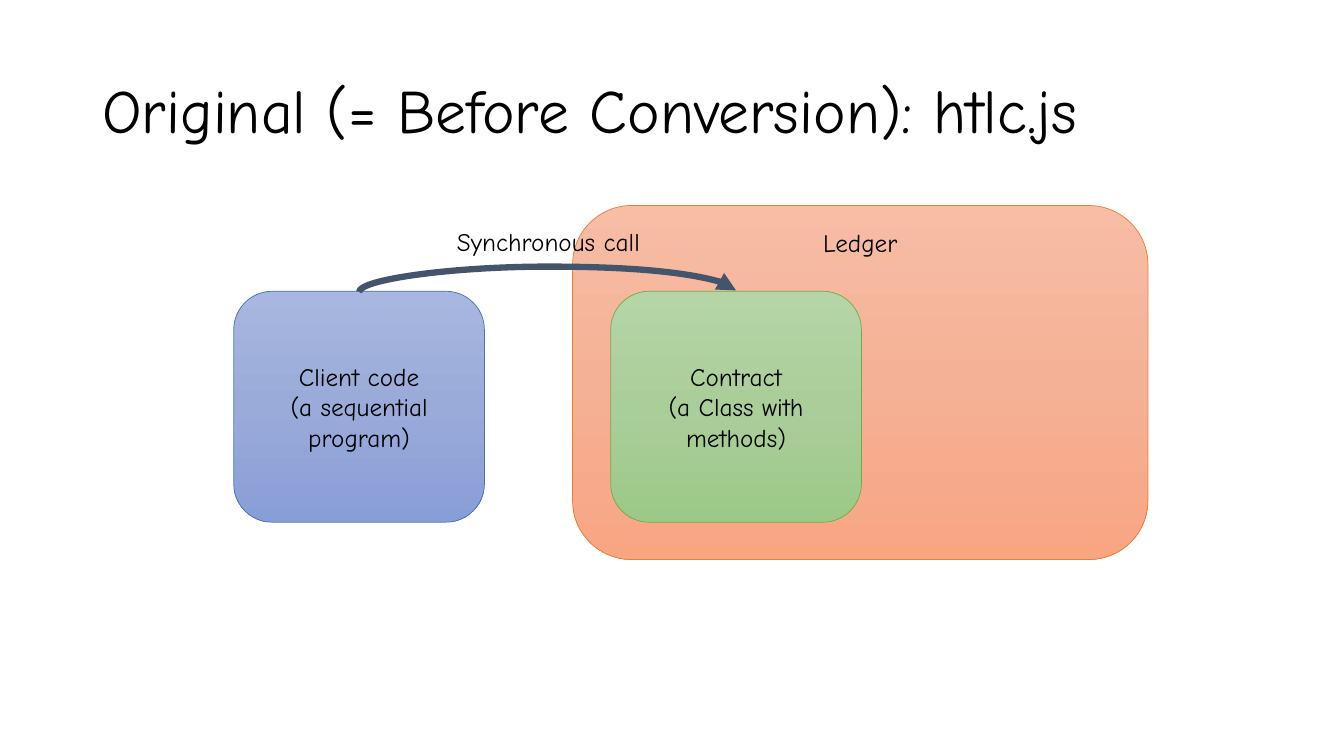
from copy import deepcopy
from dataclasses import dataclass

from lxml import etree
from pptx import Presentation
from pptx import util as u
from pptx.dml.color import RGBColor
from pptx.enum import shapes, text
from pptx.oxml import ns


@dataclass(frozen=True)
class Theme:
    """Colours, font and type sizes of the slide."""
    font: str = "Comic Neue"
    head: int = 44
    body: int = 18
    ink: str = "000000"
    arrow: str = "44546A"
    ledger: tuple = ("ED7D31", "F7BDA5", "F5B196", "F8A582")
    client: tuple = ("4472C4", "A8B7DF", "9AABD9", "889ED7")
    deal: tuple = ("70AD47", "B5D5A7", "AACE9A", "9CC987")


T = Theme()
MID = text.MSO_ANCHOR.MIDDLE
TOP = text.MSO_ANCHOR.TOP


def apply(item, opts):
    """Set each attribute in a dict of format values."""
    for key, val in opts.items():
        setattr(item, key, val)


def write(shape, words, size, frame, para):
    """Fill a shape with one formatted paragraph."""
    apply(shape.text_frame, frame)
    line = shape.text_frame.paragraphs[0]
    line.text = words
    apply(line, para)
    for run in line.runs:
        apply(run.font, {"name": T.font, "size": u.Pt(size)})
        run.font.color.rgb = RGBColor.from_string(T.ink)


def tile(parent, box, tones, words, anchor):
    """Add a rounded tile with a three-stop gradient."""
    edge, *fade = tones
    shape = parent.add_shape(shapes.MSO_SHAPE.ROUNDED_RECTANGLE, *map(u.Cm, box))
    shape.shadow.inherit = False
    shape.fill.gradient()
    shape.fill.gradient_angle = 270
    stops = shape.element.xpath(".//a:gsLst")[0]
    stops.insert(1, deepcopy(stops[0]))
    for i, stop in enumerate(shape.fill.gradient_stops):
        stop.position = i / 2
        stop.color.rgb = RGBColor.from_string(fade[i])
    shape.line.color.rgb = RGBColor.from_string(edge)
    shape.line.width = u.Pt(0.5)
    write(shape, words, T.body, {"word_wrap": True, "vertical_anchor": anchor},
          {"alignment": text.PP_ALIGN.CENTER})
    return shape


def arc(parent, start, end, rise):
    """Join the tops of two tiles with a curved arrow."""
    link = parent.add_connector(shapes.MSO_CONNECTOR.CURVE, 0, 0, 0, 0)
    link.begin_connect(start, 0)
    link.end_connect(end, 0)
    span, thin = end.left - start.left, u.Cm(0.04)
    mid = (start.left + end.left + start.width) // 2
    apply(link, {"left": mid - thin // 2, "top": start.top - span // 2,
                 "width": thin, "height": span})
    frame = link.element.spPr.find(ns.qn("a:xfrm"))
    for key, val in {"rot": "5400000", "flipH": "1", "flipV": "1"}.items():
        frame.set(key, val)
    geom = link.element.spPr.find(ns.qn("a:prstGeom"))
    guides = geom.find(ns.qn("a:avLst"))
    if guides is None:
        guides = etree.SubElement(geom, ns.qn("a:avLst"))
    etree.SubElement(guides, ns.qn("a:gd"), name="adj1",
                     fmla=f"val {round(u.Cm(rise) / thin * 100000)}")
    link.line.color.rgb = RGBColor.from_string(T.arrow)
    link.line.width = u.Pt(4.5)
    etree.SubElement(link.line._get_or_add_ln(), ns.qn("a:tailEnd"), type="triangle")
    etree.SubElement(link.element.spPr, ns.qn("a:effectLst"))


def title(slide, box):
    """Place the slide title."""
    shape = slide.shapes.add_textbox(*map(u.Cm, box))
    write(shape, "Original (= Before Conversion): htlc.js", T.head,
          {"word_wrap": True, "vertical_anchor": MID}, {"line_spacing": 0.9})


def scheme(slide, box):
    """Place the client, the ledger and the call between them."""
    x, y, w, h = box
    group = slide.shapes.add_group_shape().shapes
    wide, tall, step, drop = 6.32, 5.82, 9.5, 2.16
    inset = 8.54
    tile(group, (x + inset, y, w - inset, h), T.ledger, "Ledger", TOP)
    client, deal = [
        tile(group, (x + i * step, y + drop, wide, tall), tones, words, MID)
        for i, (tones, words) in enumerate([
            (T.client, "Client code\v(a sequential program)"),
            (T.deal, "Contract\v(a Class with methods)")])]
    arc(group, client, deal, 0.64)
    label = group.add_textbox(*map(u.Cm, (x + 5.16, y + 0.41, 5.54, 1.02)))
    write(label, "Synchronous call", T.body,
          {"word_wrap": False, "auto_size": text.MSO_AUTO_SIZE.SHAPE_TO_FIT_TEXT},
          {"alignment": text.PP_ALIGN.CENTER})


def main():
    """Build and save the slide."""
    deck = Presentation()
    apply(deck, {"slide_width": u.Cm(33.87), "slide_height": u.Cm(19.05)})
    slide = deck.slides.add_slide(deck.slide_layouts[6])
    title(slide, (2.33, 1.01, 29.21, 3.68))
    scheme(slide, (5.89, 5.18, 23.04, 8.92))
    deck.save("out.pptx")


main()
